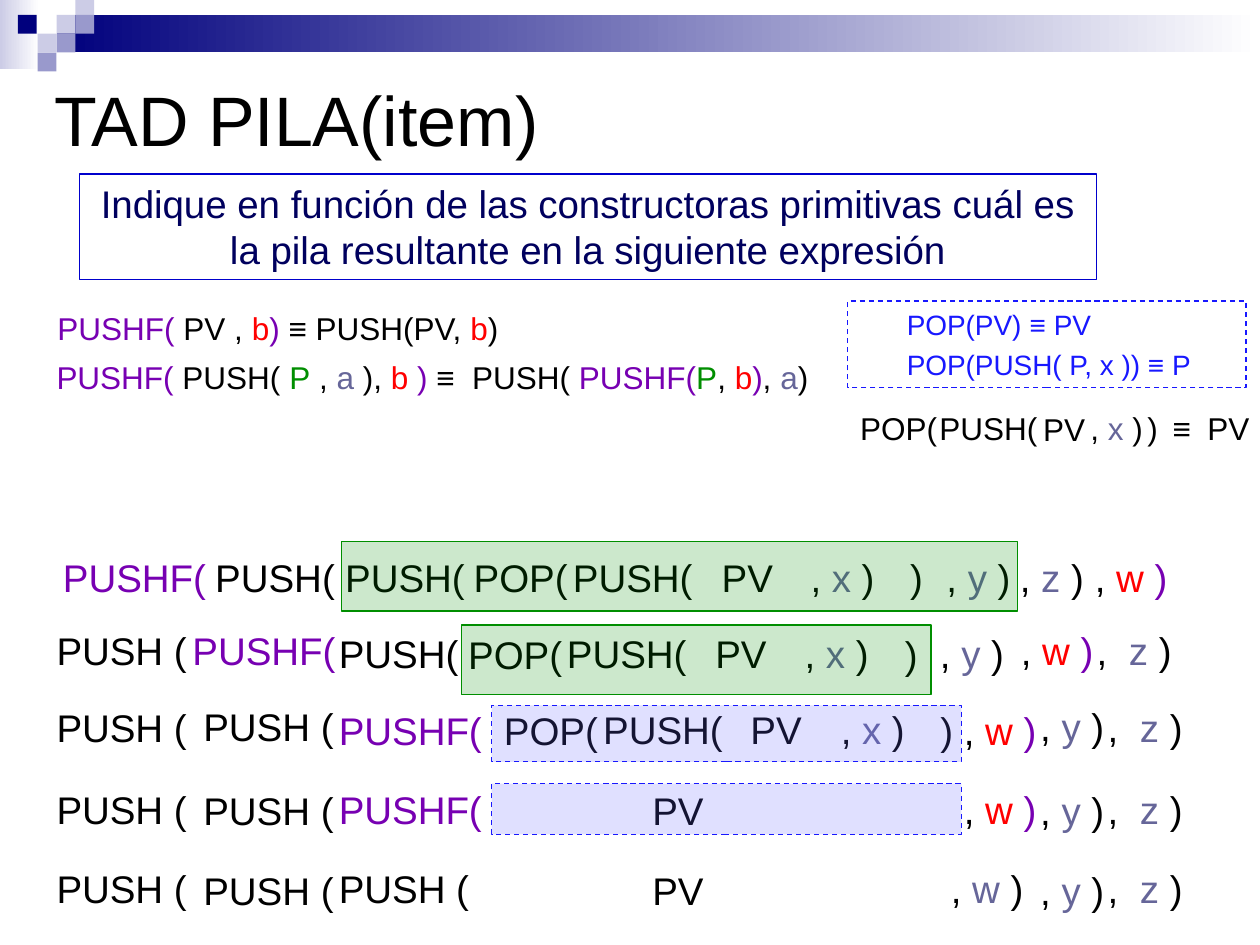
from lxml.etree import SubElement
from pptx import Presentation
from pptx.dml.color import RGBColor
from pptx.enum.dml import MSO_LINE
from pptx.enum.shapes import MSO_SHAPE
from pptx.enum.text import MSO_ANCHOR, PP_ALIGN
from pptx.oxml.ns import qn
from pptx.util import Cm, Pt

COLORS = {
    "black": "000000", "violet": "7700B2", "green": "008E00", "red": "FF0000",
    "slate": "666699", "navy": "00007D", "ink": "00005E", "frame": "0000CC",
    "blue": "1818FF", "haze": "6565FF", "pale": "CCCCE6", "lilac": "9999CC",
    "white": "FFFFFF",
}

deck = Presentation()
deck.slide_width, deck.slide_height = Cm(25.4), Cm(19.05)
page = deck.slides.add_slide(deck.slide_layouts[6])


def add_rectangle(left, top, width, height, fill=None, line=None, dashed=False, alpha=None):
    box = page.shapes.add_shape(
        MSO_SHAPE.RECTANGLE, Cm(left), Cm(top), Cm(width), Cm(height))
    box.shadow.inherit = False
    if fill is None:
        box.fill.background()
    else:
        box.fill.solid()
        box.fill.fore_color.rgb = RGBColor.from_string(COLORS[fill])
        if alpha:
            color = box.fill._xPr.find(".//" + qn("a:srgbClr"))
            SubElement(color, qn("a:alpha"), val=str(alpha * 1000))
    if line is None:
        box.line.fill.background()
    else:
        box.line.color.rgb = RGBColor.from_string(COLORS[line])
        box.line.width = Pt(0.75)
        if dashed:
            box.line.dash_style = MSO_LINE.DASH
    return box


def write_spans(para, size, spans, tabs=()):
    if tabs:
        tab_list = SubElement(para._p.get_or_add_pPr(), qn("a:tabLst"))
        for position in tabs:
            SubElement(tab_list, qn("a:tab"), pos=str(Cm(position)), algn="l")
    for color, text in spans:
        span = para.add_run()
        span.text = text
        span.font.name = "Arial"
        span.font.size = Pt(size)
        span.font.color.rgb = RGBColor.from_string(COLORS[color])


for left, top, width, height, start in [(0, 0, 0.79, 1.4, "pale"), (1.14, 0.3, 24.26, 0.76, "navy")]:
    band = add_rectangle(left, top, width, height, start)
    band.fill.gradient()
    band.fill.gradient_angle = 0
    for stop, color in zip(band.fill.gradient_stops, (start, "white")):
        stop.color.rgb = RGBColor.from_string(COLORS[color])

for left, top, height, color in [
    (1.14, 0.3, 0.38, "pale"), (1.52, 0, 0.3, "pale"), (1.52, 0.3, 0.38, "lilac"),
    (0.76, 0.68, 0.38, "pale"), (0.36, 0.3, 0.38, "navy"),
    (1.14, 0.68, 0.38, "lilac"), (0.76, 1.06, 0.38, "lilac"),
]:
    add_rectangle(left, top, 0.38, height, color)

pv = (22, [("black", "PV")], [], 3)
inner_push = (22, [("black", "PUSH(\t, "), ("slate", "x"), ("black", " )")], [4.79], 10.59)
pop = (22, [("black", "POP(\t)")], [8.8], 9.6)
push_y = (22, [("black", "PUSH(\t, "), ("slate", "y"), ("black", " )")], [12.12], 14)
push_z = (22, [("black", "PUSH(\t, "), ("slate", "z"), ("black", " )")], [16.22], 21)
outer_y = (22, [("black", "PUSH (\t, "), ("slate", "y"), ("black", " )")], [16.87], 21)
outer_z = (22, [("black", "PUSH (\t,\t"), ("slate", "z"), ("black", " )")], [21.19, 21.84], 23.6)
second_z = (22, outer_z[1], [20.97, 21.62], 23.6)
pushf_spans = [("violet", "PUSHF("), ("black", "\t, "), ("red", "w "), ("violet", ")")]
pushf_wide = (22, pushf_spans, [20.8], 23)
pushf_middle = (22, pushf_spans, [16.7], 21)
pushf_short = (22, pushf_spans, [12.6], 14.94)
push_w = (22, [("black", "PUSH (\t, "), ("slate", "w "), ("black", ")")], [12.34], 14.94)

title = (40, [("black", "TAD PILA(item)")], [], 22.86)
base_rule = (18, [
    ("violet", "PUSHF("), ("black", " PV , "), ("red", "b"), ("violet", ")"),
    ("black", " ≡ PUSH(PV, "), ("red", "b"), ("black", ")")], [], 12.2)
general_rule = (18, [
    ("violet", "PUSHF("), ("black", " PUSH( "), ("green", "P"), ("black", " , "),
    ("slate", "a"), ("black", " ), "), ("red", "b "), ("violet", ")"),
    ("black", " ≡\tPUSH( "), ("violet", "PUSHF("), ("green", "P"), ("black", ", "),
    ("red", "b"), ("violet", ")"), ("black", ", "), ("slate", "a"), ("black", ")")],
    [8.38], 22.94)
small_pv = (18, pv[1], [], 3)
small_push = (18, inner_push[1], [3.04], 6.6)
small_pop = (18, pop[1], [5.79], 6.68)
result = (18, [("black", "≡\tPV")], [0.7], 2)

for left, top, (size, spans, tabs, width) in [
    (0.84, 1.42, title),
    (0.89, 7.09, general_rule), (0.91, 6.1, base_rule),
    (14.3, 11.05, pv), (11.3, 11.05, inner_push), (9.3, 11.05, pop),
    (6.71, 11.05, push_y), (4.09, 11.05, push_z), (1.02, 11.05, pushf_wide),
    (14.17, 12.57, pv), (11.18, 12.57, inner_push), (9.19, 12.6, pop),
    (6.58, 12.57, push_y), (3.63, 12.52, pushf_middle), (0.89, 12.52, second_z),
    (14.88, 14.1, pv), (11.91, 14.1, inner_push), (9.91, 14.12, pop),
    (6.58, 14.12, pushf_short), (3.85, 14.05, outer_y), (0.89, 14.07, outer_z),
    (20.78, 8.15, small_pv), (18.69, 8.13, small_push),
    (17.09, 8.13, small_pop), (23.39, 8.13, result),
    (12.9, 15.75, pv), (6.58, 15.72, pushf_short), (3.85, 15.75, outer_y), (0.89, 15.72, outer_z),
    (12.9, 17.35, pv), (6.58, 17.32, push_w), (3.85, 17.35, outer_y), (0.89, 17.32, outer_z),
]:
    box = page.shapes.add_textbox(Cm(left), Cm(top), Cm(width), Cm(size * 0.045 + 0.2))
    frame = box.text_frame
    frame.word_wrap = True
    frame.margin_right = 0
    write_spans(frame.paragraphs[0], size, spans, tabs)

prompt = add_rectangle(1.6, 3.51, 20.5, 2.13, line="frame").text_frame
prompt.word_wrap = True
prompt.vertical_anchor = MSO_ANCHOR.TOP
prompt.paragraphs[0].alignment = PP_ALIGN.CENTER
write_spans(prompt.paragraphs[0], 22, [("ink", (
    "Indique en función de las constructoras primitivas cuál es "
    "la pila resultante en la siguiente expresión"))])

axioms = add_rectangle(17.09, 6.07, 8.03, 1.75, line="blue", dashed=True).text_frame
axioms.word_wrap = True
axioms.vertical_anchor = MSO_ANCHOR.TOP
axioms.margin_left = Cm(1.19)
first, second = axioms.paragraphs[0], axioms.add_paragraph()
second.space_before = Pt(4)
write_spans(first, 16, [("blue", "POP(PV) "), ("blue", "≡"), ("blue", " PV")])
first.runs[1].font.name = "Courier New"
write_spans(second, 16, [("blue", "POP(PUSH( P, x )) ≡ P")])
for para in (first, second):
    para.alignment = PP_ALIGN.LEFT

for left, top, width, height, fill, line in [
    (6.88, 10.92, 13.64, 1.4, "green", "green"),
    (9.3, 12.6, 9.47, 1.4, "green", "green"),
    (9.91, 14.22, 9.47, 1.14, "haze", "blue"),
    (9.91, 15.8, 9.47, 1.02, "haze", "blue"),
]:
    add_rectangle(left, top, width, height, fill, line, dashed=line == "blue", alpha=20)

deck.save("out.pptx")
